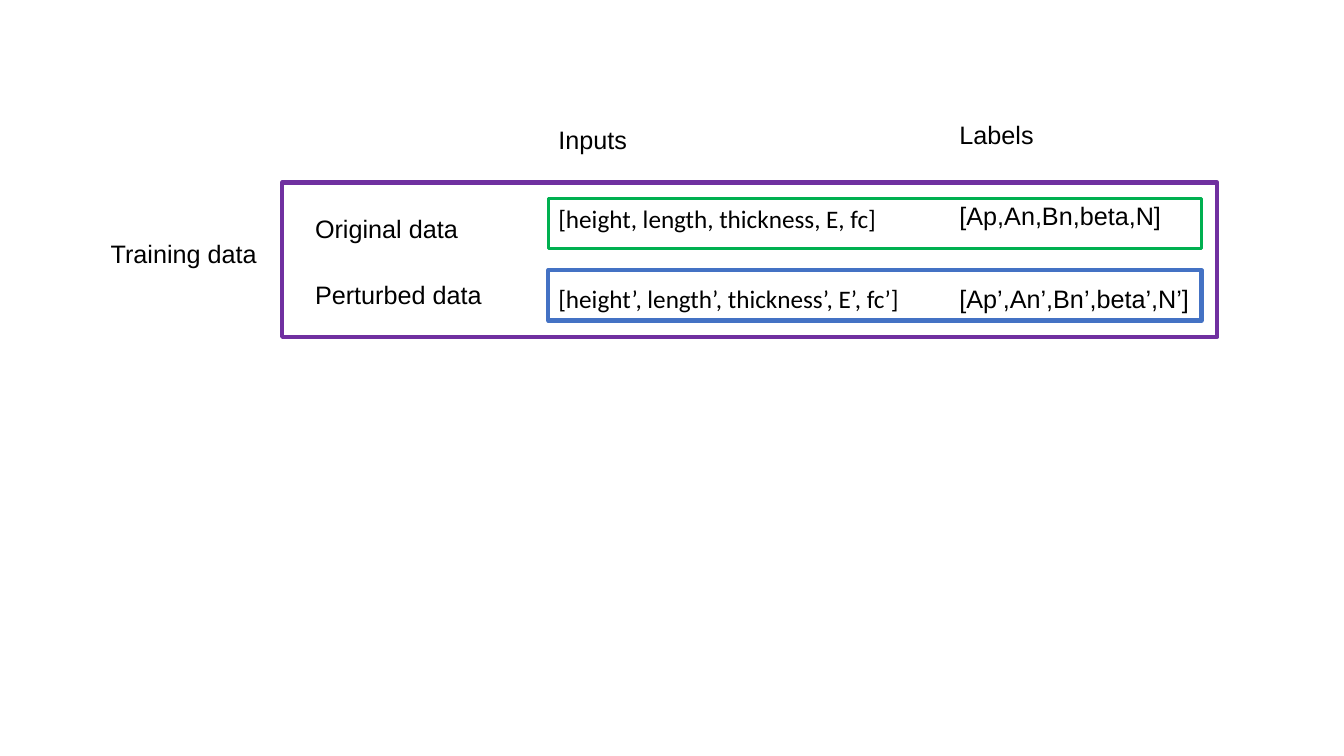
from dataclasses import dataclass

from pptx import Presentation
from pptx.dml.color import RGBColor
from pptx.enum.shapes import MSO_SHAPE
from pptx.enum.text import MSO_AUTO_SIZE
from pptx.util import Cm, Pt


@dataclass(frozen=True)
class Theme:
    text: str = "000000"
    training: str = "7030A0"
    original: str = "00B050"
    perturbed: str = "4472C4"
    label_font: str = "Arial"
    input_font: str = "Calibri"
    size: float = 18
    thin: float = 2.25
    thick: float = 3


THEME = Theme()
TEXT_HEIGHT = 1.02

# Column offsets from the left edge of the training frame, in cm
NAME_X, INPUTS_X, LABELS_X = 0.58, 6.71, 16.82
ROW_WIDTH, ROW_HEIGHT = 16.46, 1.27


def add_label(slide, text, left, top, width, font=THEME.label_font, wrap=True):
    label = slide.shapes.add_textbox(Cm(left), Cm(top), Cm(width), Cm(TEXT_HEIGHT))
    frame = label.text_frame
    frame.word_wrap = wrap
    frame.auto_size = MSO_AUTO_SIZE.SHAPE_TO_FIT_TEXT
    run = frame.paragraphs[0].add_run()
    run.text = text
    run.font.name = font
    run.font.size = Pt(THEME.size)
    run.font.color.rgb = RGBColor.from_string(THEME.text)


def add_outline(slide, left, top, width, height, color, weight):
    outline = slide.shapes.add_shape(
        MSO_SHAPE.RECTANGLE, Cm(left), Cm(top), Cm(width), Cm(height))
    outline.shadow.inherit = False
    outline.fill.background()
    outline.line.color.rgb = RGBColor.from_string(color)
    outline.line.width = Pt(weight)


def add_headings(slide, left, top):
    """Column headings above the training frame."""
    add_label(slide, "Inputs", left + INPUTS_X, top + 0.15, 3.12)
    add_label(slide, "Labels", left + LABELS_X, top, 5.97)


def add_data_row(slide, left, top, color, weight, name, inputs, labels):
    """Row name, then inputs and labels in a frame; each part is
    (text, drop below the row top, width), inputs also with wrapping."""
    name_text, name_drop, name_width = name
    inputs_text, inputs_drop, inputs_width, inputs_wrap = inputs
    labels_text, labels_drop, labels_width = labels
    add_label(slide, inputs_text, left + INPUTS_X, top + inputs_drop,
              inputs_width, THEME.input_font, inputs_wrap)
    add_label(slide, labels_text, left + LABELS_X, top + labels_drop, labels_width)
    add_outline(slide, left + INPUTS_X, top, ROW_WIDTH, ROW_HEIGHT, color, weight)
    add_label(slide, name_text, left + NAME_X, top + name_drop, name_width)


def add_training_data(slide, left, top, width, height):
    """Training frame with its caption and the two data rows."""
    add_data_row(slide, left, top + 0.4, THEME.original, THEME.thin,
                 ("Original data", 0.25, 4.37),
                 ("[height, length, thickness, E, fc]", 0, 10.13, True),
                 ("[Ap,An,Bn,beta,N]", -0.08, 5.97))
    add_data_row(slide, left, top + 2.21, THEME.perturbed, THEME.thick,
                 ("Perturbed data", 0.1, 5.99),
                 ("[height’, length’, thickness’, E’, fc’]", 0.2, 9.19, False),
                 ("[Ap’,An’,Bn’,beta’,N’]", 0.2, 6.68))
    add_outline(slide, left, top, width, height, THEME.training, THEME.thick)
    add_label(slide, "Training data", left - 4.57, top + 1.29, 4.37)


def main():
    deck = Presentation()
    deck.slide_width, deck.slide_height = Cm(33.87), Cm(19.05)
    slide = deck.slides.add_slide(deck.slide_layouts[6])
    add_headings(slide, 7.11, 2.87)
    add_training_data(slide, 7.11, 4.6, 23.57, 3.89)
    deck.save("out.pptx")


if __name__ == "__main__":
    main()
